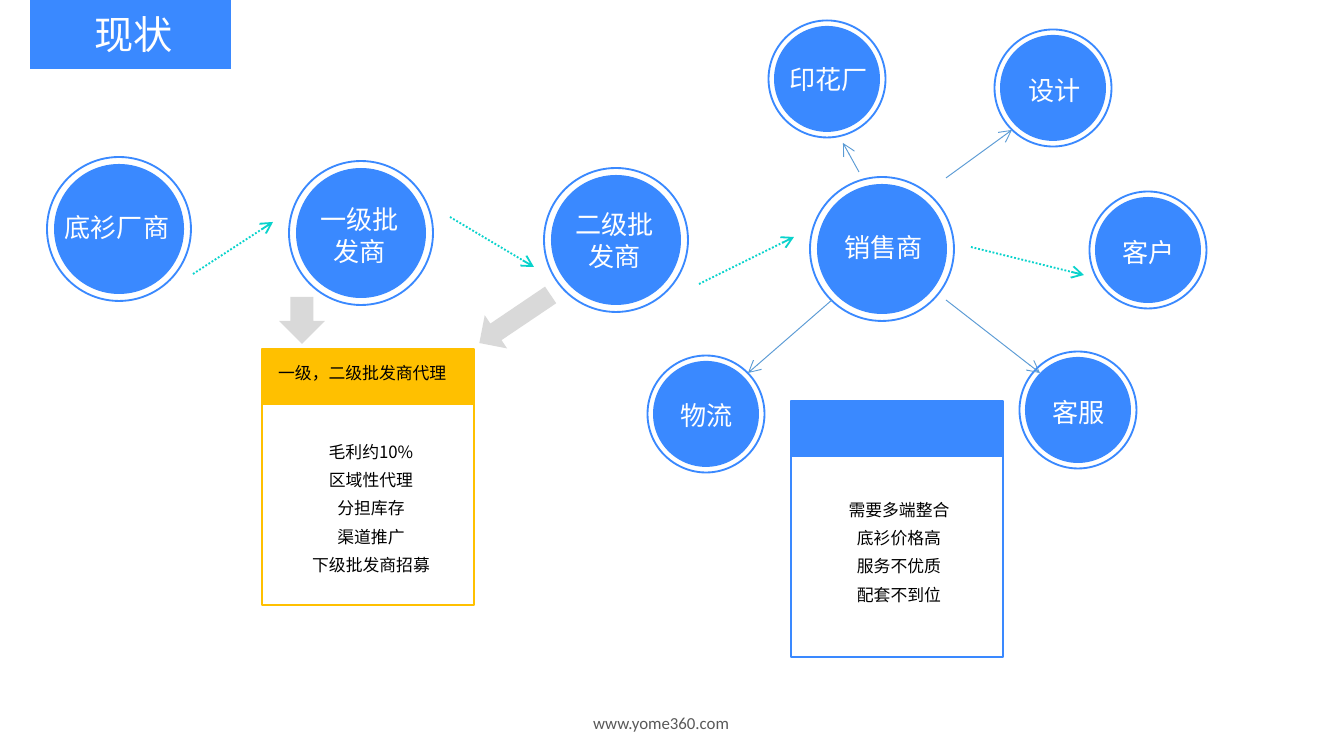
from lxml import etree
from pptx import Presentation, util as u
from pptx.dml.color import RGBColor
from pptx.enum import dml, shapes, text
from pptx.oxml.ns import qn

PX = 914400 / 134.4
BLUE = RGBColor(0x3A, 0x89, 0xFF)
AMBER = RGBColor(0xFF, 0xC0, 0x00)
TEAL = RGBColor(0x09, 0xD3, 0xCC)
STEEL = RGBColor(0x5B, 0x9B, 0xD5)
SILVER = RGBColor(0xD9, 0xD9, 0xD9)
WHITE = RGBColor(0xFF, 0xFF, 0xFF)
BLACK = RGBColor(0x00, 0x00, 0x00)
GREY = RGBColor(0x59, 0x59, 0x59)
CJK = "Noto Sans CJK SC"
KIND = shapes.MSO_SHAPE
LEFT, CENTER = text.PP_ALIGN.LEFT, text.PP_ALIGN.CENTER


def px(*lengths):
    return [u.Emu(round(length * PX)) for length in lengths]


class SupplyChainSlide:
    """Draws the elements of the supply chain slide in one shared style."""

    def __init__(self, slide):
        self.shapes = slide.shapes

    def shape(self, kind, box, fill=None, line=None, rotation=0):
        shape = self.shapes.add_shape(kind, *px(*box))
        shape.shadow.inherit = False
        shape.rotation = rotation
        if fill is None:
            shape.fill.background()
        else:
            shape.fill.solid()
            shape.fill.fore_color.rgb = fill
        if line is None:
            shape.line.fill.background()
        else:
            shape.line.color.rgb = line
            shape.line.width = u.Pt(1)

    def label(self, lines, box, size, color, align=LEFT, spacing=None, font=CJK):
        frame = self.shapes.add_textbox(*px(*box)).text_frame
        frame.word_wrap = True
        frame.auto_size = text.MSO_AUTO_SIZE.SHAPE_TO_FIT_TEXT
        for index, line in enumerate(lines):
            paragraph = frame.add_paragraph() if index else frame.paragraphs[0]
            paragraph.alignment = align
            paragraph.line_spacing = spacing
            run = paragraph.add_run()
            run.text = line
            for key, value in {"size": u.Pt(size), "name": font}.items():
                setattr(run.font, key, value)
            run.font.color.rgb = color
            east_asian = etree.SubElement(run._r.get_or_add_rPr(), qn("a:ea"))
            east_asian.set("typeface", font)

    def party(self, lines, center, inner, outer, shift):
        x, y = center
        for diameter, style in ((inner, {"fill": BLUE}), (outer, {"line": BLUE})):
            self.shape(KIND.OVAL, (x - diameter / 2, y - diameter / 2, diameter, diameter), **style)
        height = 47 if len(lines) == 1 else 78
        box = (x + shift[0] - 70, y + shift[1] - height / 2, 140, height)
        self.label(lines, box, 14, WHITE, CENTER)

    def arrow(self, start, end, color, width, dash=None):
        connector = self.shapes.add_connector(shapes.MSO_CONNECTOR.STRAIGHT, *px(*start, *end))
        connector.line.color.rgb = color
        connector.line.width = u.Pt(width)
        if dash:
            connector.line.dash_style = dash
        tail = etree.SubElement(connector.get_or_add_ln(), qn("a:tailEnd"))
        tail.set("type", "arrow")
        etree.SubElement(connector._element.spPr, qn("a:effectLst"))

    def card(self, left, top, color, points, points_at):
        self.shape(KIND.RECTANGLE, (left + 1, top, 212, 256), line=color)
        self.shape(KIND.FLOWCHART_PROCESS, (left, top, 214, 56), fill=color)
        self.label(points, (*points_at, 156, 195), 9, BLACK, CENTER, 1.4)


def main():
    deck = Presentation()
    deck.slide_width, deck.slide_height = px(1344, 756)
    page = SupplyChainSlide(deck.slides.add_slide(deck.slide_layouts[6]))

    page.shape(KIND.FLOWCHART_PROCESS, (30, 0, 201, 69), fill=BLUE)
    page.label(["现状"], (81, 4, 137, 60), 21, WHITE)

    chain = [
        (["底衫厂商"], (119, 229), (-2, -1)),
        (["一级批", "发商"], (361, 233), (-1, 3)),
        (["二级批", "发商"], (616, 240), (-1, 1)),
        (["销售商"], (882, 249), (2, -1)),
    ]
    services = [
        (["客户"], (1148, 250), (1, 3)),
        (["客服"], (1078, 410), (1, 3)),
        (["设计"], (1053, 88), (2, 3)),
        (["印花厂"], (827, 79), (2, 1)),
        (["物流"], (706, 414), (1, 2)),
    ]
    for group, inner, outer in ((chain, 130, 144), (services, 106, 117)):
        for lines, center, shift in group:
            page.party(lines, center, inner, outer, shift)

    goods_flow = [
        ((193, 274), (273, 222)),
        ((450, 217), (534, 267)),
        ((699, 284), (794, 237)),
        ((971, 247), (1084, 275)),
    ]
    service_links = [
        ((946, 178), (1012, 130)),
        ((859, 172), (843, 143)),
        ((946, 300), (1040, 373)),
        ((832, 300), (748, 373)),
    ]
    for start, end in goods_flow:
        page.arrow(start, end, TEAL, 1, dml.MSO_LINE.ROUND_DOT)
    for start, end in service_links:
        page.arrow(start, end, STEEL, 0.5)

    agent_points = ["毛利约10%", "区域性代理", "分担库存", "渠道推广", "下级批发商招募"]
    seller_points = ["需要多端整合", "底衫价格高", "服务不优质", "配套不到位"]
    page.card(261, 349, AMBER, agent_points, (293, 427))
    page.card(790, 401, BLUE, seller_points, (821, 485))
    page.label(["一级，二级批发商代理"], (265, 356, 198, 35), 9, BLACK)

    page.shape(KIND.DOWN_ARROW, (279, 297, 46, 47), fill=SILVER)
    page.shape(KIND.DOWN_ARROW, (495, 276, 40, 86), fill=SILVER, rotation=56)
    page.label(["www.yome360.com"], (580, 706, 180, 33), 9, GREY, font="Calibri")

    deck.save("out.pptx")


if __name__ == "__main__":
    main()
